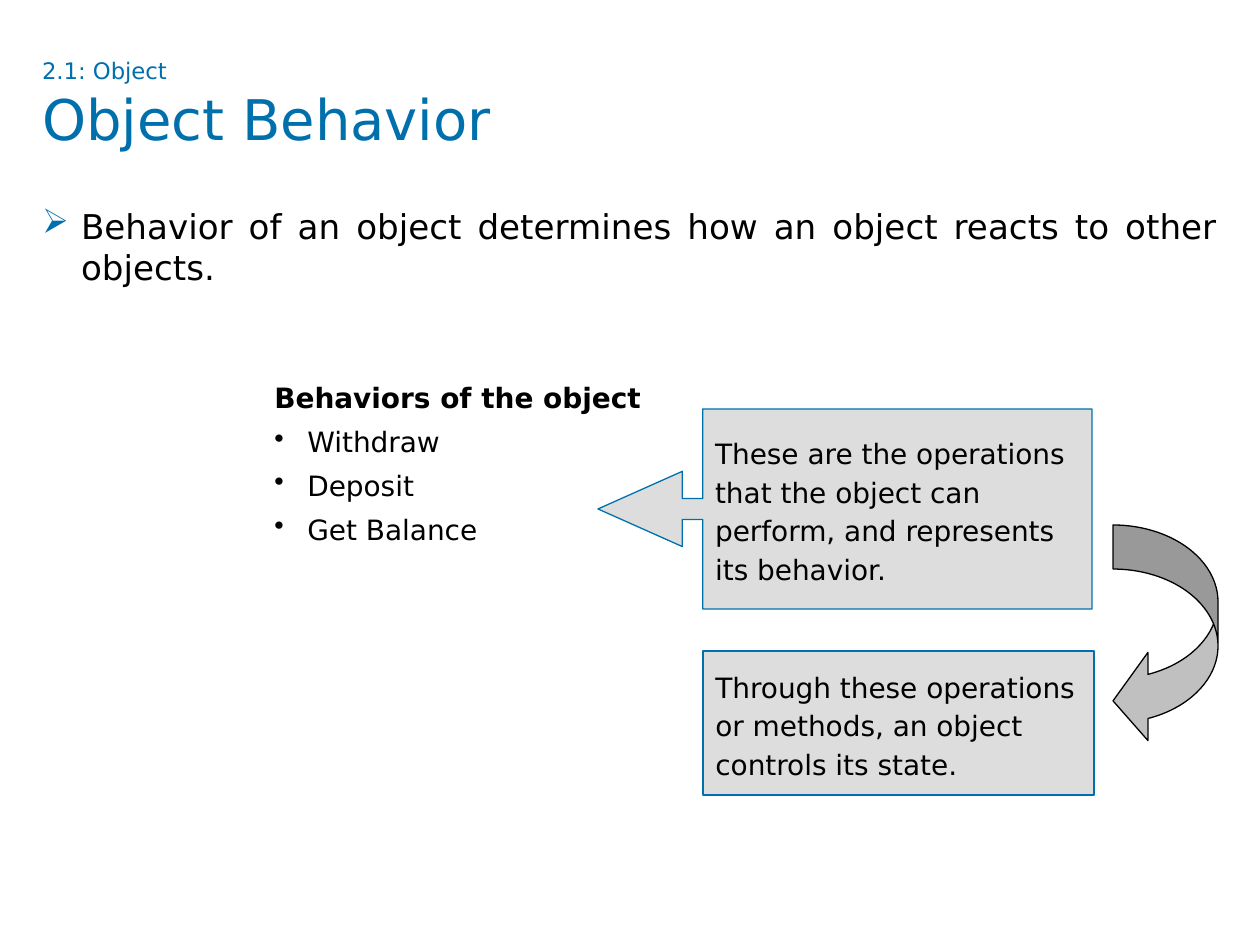
from dataclasses import dataclass

from lxml import etree
from pptx import Presentation
from pptx import util as u
from pptx.dml.color import RGBColor
from pptx.enum import shapes, text
from pptx.oxml.ns import qn

EMU_PER_PX = u.Inches(1) / 126


@dataclass(frozen=True)
class Theme:
    font: str = "DejaVu Sans"
    accent: str = "0070AD"
    ink: str = "000000"
    panel: str = "DDDDDD"
    arrow: str = "C0C0C0"
    topic_size: float = 13
    title_size: float = 32
    lead_size: float = 19.5
    label_size: float = 16
    line_width: float = 0.75


def px(length):
    return u.Emu(round(length * EMU_PER_PX))


def color(value):
    return RGBColor.from_string(value)


class SlideBuilder:
    def __init__(self, slide, theme):
        self.slide = slide
        self.theme = theme

    def style(self, paragraph, size, ink=None, bold=False, spacing=None, before=0):
        font = paragraph.font
        font.name = self.theme.font
        font.size = u.Pt(size)
        font.bold = bold
        font.color.rgb = color(ink or self.theme.ink)
        if spacing:
            paragraph.line_spacing = spacing
        paragraph.space_before = u.Pt(before)

    def bullet(self, paragraph, mark, indent, ink=None):
        """Hang the paragraph by indent px; a mark of None leaves it unbulleted."""
        props = paragraph._p.get_or_add_pPr()
        props.set("marL", str(px(indent)))
        props.set("indent", str(-px(indent)))
        if ink:
            mark_color = etree.SubElement(props, qn("a:buClr"))
            etree.SubElement(mark_color, qn("a:srgbClr"), val=ink)
        if mark:
            etree.SubElement(props, qn("a:buChar"), char=mark)
        else:
            etree.SubElement(props, qn("a:buNone"))

    def text_frame(self, left, top, width, height, inset=True):
        box = self.slide.shapes.add_textbox(px(left), px(top), px(width), px(height))
        frame = box.text_frame
        frame.word_wrap = True
        if not inset:
            frame.margin_left = frame.margin_right = 0
            frame.margin_top = frame.margin_bottom = 0
        return frame

    def title(self, topic, heading, *bounds):
        frame = self.text_frame(*bounds, inset=False)
        topic_line, heading_line = frame.paragraphs[0], frame.add_paragraph()
        topic_line.text, heading_line.text = topic, heading
        self.style(topic_line, self.theme.topic_size, self.theme.accent)
        self.style(heading_line, self.theme.title_size, self.theme.accent)

    def lead(self, statement, *bounds):
        paragraph = self.text_frame(*bounds, inset=False).paragraphs[0]
        paragraph.text = statement
        paragraph.alignment = text.PP_ALIGN.JUSTIFY
        self.bullet(paragraph, "➢", 39, self.theme.accent)
        self.style(paragraph, self.theme.lead_size)

    def headed_list(self, heading, items, *bounds):
        frame = self.text_frame(*bounds)
        for index, line in enumerate([heading, *items]):
            is_heading = index == 0
            paragraph = frame.paragraphs[0] if is_heading else frame.add_paragraph()
            paragraph.text = line
            self.bullet(paragraph, None if is_heading else "•", 33)
            self.style(paragraph, self.theme.label_size, bold=is_heading,
                       spacing=1.2, before=0 if is_heading else 2)

    def shape(self, preset, left, top, width, height, fill, line, adjustments=()):
        shape = self.slide.shapes.add_shape(preset, px(left), px(top), px(width), px(height))
        for index, value in enumerate(adjustments):
            shape.adjustments[index] = value
        shape.shadow.inherit = False
        shape.fill.solid()
        shape.fill.fore_color.rgb = color(fill)
        shape.line.color.rgb = color(line)
        shape.line.width = u.Pt(self.theme.line_width)
        return shape

    def panel(self, preset, statement, *bounds, adjustments=()):
        panel = self.shape(preset, *bounds, self.theme.panel, self.theme.accent, adjustments)
        frame = panel.text_frame
        frame.word_wrap = True
        frame.vertical_anchor = text.MSO_ANCHOR.MIDDLE
        paragraph = frame.paragraphs[0]
        paragraph.text = statement
        paragraph.alignment = text.PP_ALIGN.LEFT
        self.style(paragraph, self.theme.label_size, spacing=1.15)


def main():
    deck = Presentation()
    deck.slide_width, deck.slide_height = px(1260), px(945)
    theme = Theme()
    builder = SlideBuilder(deck.slides.add_slide(deck.slide_layouts[6]), theme)
    preset = shapes.MSO_SHAPE

    builder.title("2.1: Object", "Object Behavior", 42, 57, 1176, 118)
    builder.lead("Behavior of an object determines how an object reacts to other objects.",
                 42, 205, 1176, 640)
    builder.headed_list("Behaviors of the object", ["Withdraw", "Deposit", "Get Balance"],
                        262, 368, 451, 185)
    builder.panel(preset.LEFT_ARROW_CALLOUT,
                  "These are the operations that the object can perform, "
                  "and represents its behavior.",
                  598, 409, 494, 200, adjustments=(0.105, 0.188, 0.422, 0.788))
    builder.panel(preset.RECTANGLE,
                  "Through these operations or methods, an object controls its state.",
                  703, 651, 391, 144)
    builder.shape(preset.CURVED_LEFT_ARROW, 1113, 525, 105, 220,
                  theme.arrow, theme.ink, (0.42, 0.84, 0.333))

    deck.save("out.pptx")


if __name__ == "__main__":
    main()
